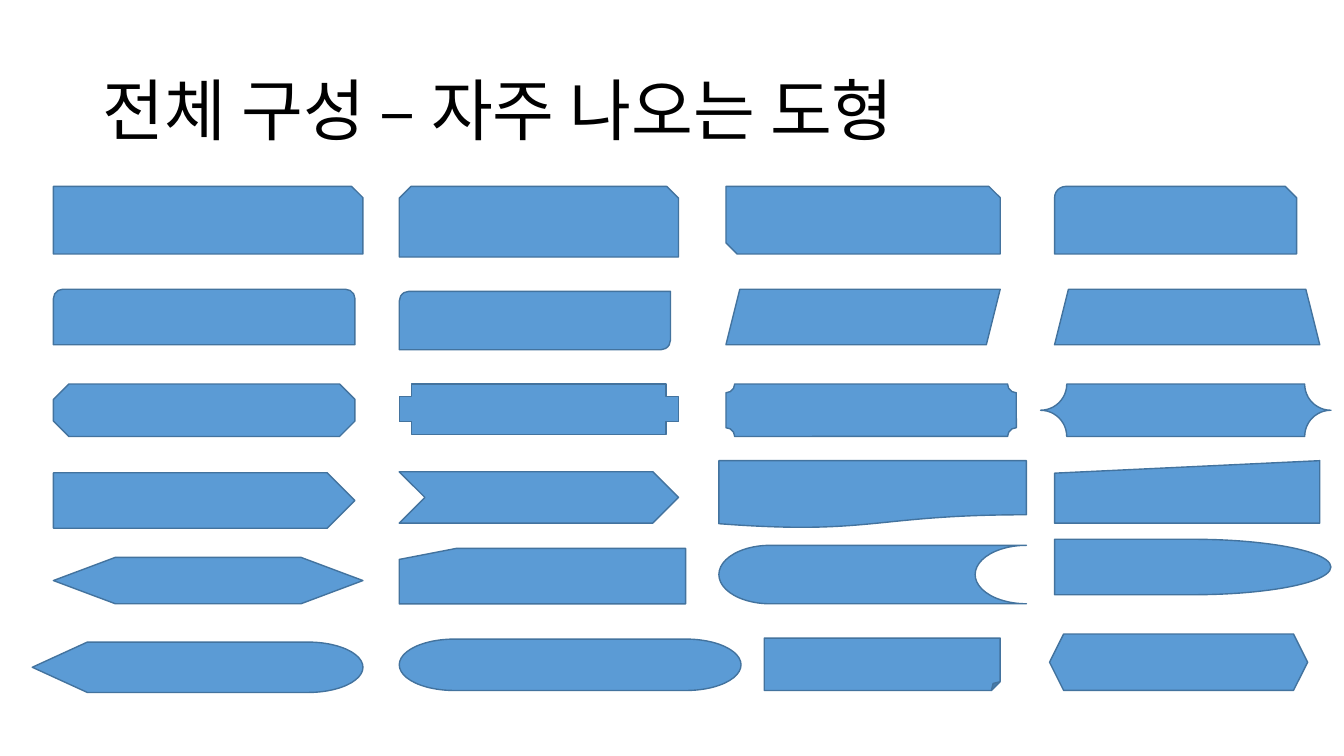
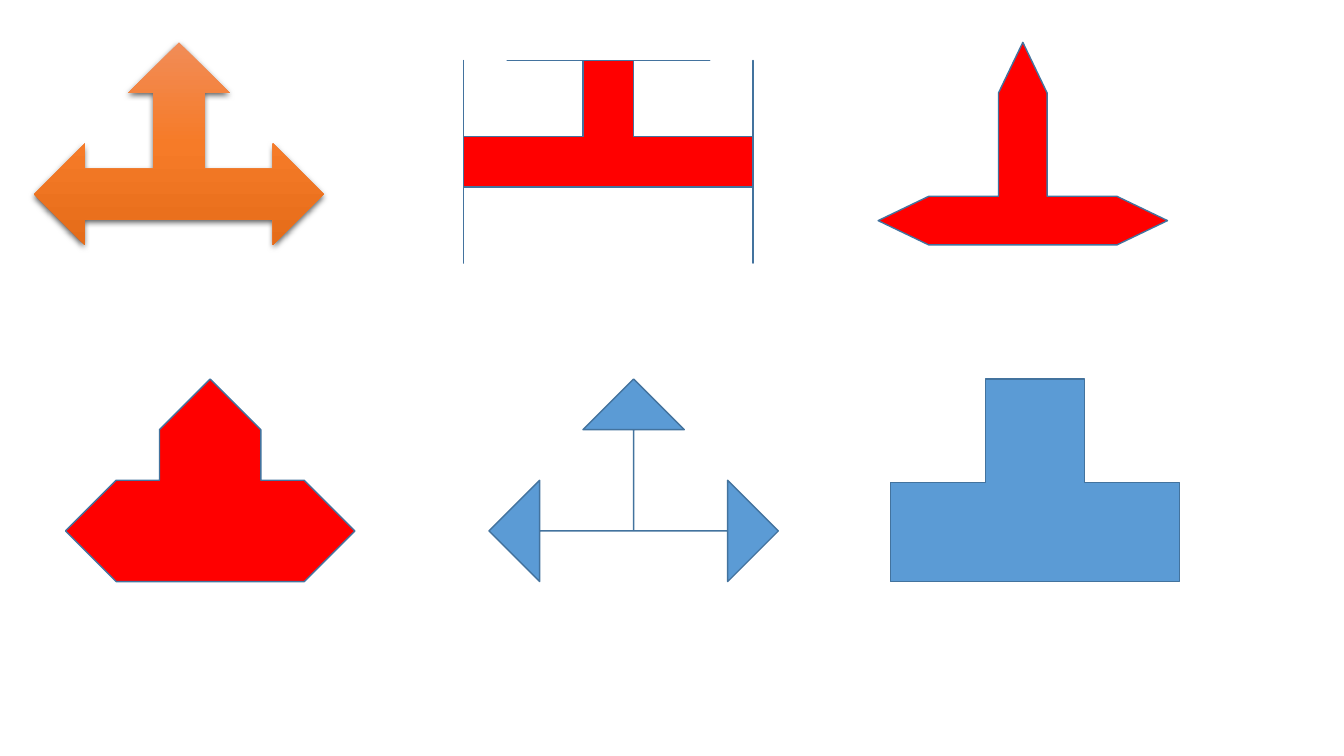
"""Build two slides of preset shapes: a gallery and a set of three-way arrows."""
from copy import deepcopy
from dataclasses import dataclass

from lxml import etree
from pptx import Presentation, util as u
from pptx.dml.color import RGBColor
from pptx.enum import shapes, text
from pptx.oxml.ns import qn
from pptx.shapes.autoshape import Shape
from pptx.slide import Slide

PX = 9144
FONT = "Noto Sans CJK KR"
BLUE, EDGE, RED, BLACK = "5B9BD5", "43739E", "FF0000", "000000"
ORANGES = ((0, "F18C57"), (0.5, "F67B28"), (1, "E56C19"))
COLUMNS = (53, 396, 720, 1046)
ARROW_W, ARROW_H = 287, 201
M = shapes.MSO_SHAPE


@dataclass(frozen=True)
class Item:
    kind: M
    x: int
    y: int
    w: int
    h: int
    fill: str = BLUE
    adj: tuple[float, ...] = ()


A, B, C, D = COLUMNS
GALLERY = (
    Item(M.SNIP_1_RECTANGLE, A, 185, 307, 67),
    Item(M.SNIP_2_SAME_RECTANGLE, B, 185, 277, 70),
    Item(M.SNIP_2_DIAG_RECTANGLE, C, 185, 272, 67),
    Item(M.SNIP_ROUND_RECTANGLE, D, 185, 240, 67),
    Item(M.ROUND_2_SAME_RECTANGLE, A, 287, 299, 55),
    Item(M.ROUND_2_DIAG_RECTANGLE, B, 289, 269, 58),
    Item(M.PARALLELOGRAM, C, 287, 272, 55),
    Item(M.TRAPEZOID, D, 287, 263, 55),
    Item(M.OCTAGON, A, 381, 299, 52),
    Item(M.CROSS, B, 381, 277, 50),
    Item(M.PLAQUE, C, 381, 288, 52),
    Item(M.PLAQUE, 1032, 381, 288, 52, adj=(0.5,)),
    Item(M.PENTAGON, A, 469, 299, 55),
    Item(M.CHEVRON, B, 468, 277, 51),
    Item(M.FLOWCHART_DOCUMENT, 713, 457, 305, 67),
    Item(M.FLOWCHART_MANUAL_INPUT, D, 457, 263, 62),
    Item(M.FLOWCHART_PREPARATION, A, 553, 307, 46),
    Item(M.FLOWCHART_CARD, B, 544, 284, 55),
    Item(M.FLOWCHART_STORED_DATA, 713, 541, 305, 58),
    Item(M.FLOWCHART_DELAY, D, 535, 274, 55),
    Item(M.FLOWCHART_DISPLAY, 32, 637, 328, 50),
    Item(M.FLOWCHART_TERMINATOR, B, 634, 339, 51),
    Item(M.FOLDED_CORNER, 758, 633, 234, 52),
    Item(M.HEXAGON, 1041, 629, 256, 56),
)


def arrow(x: int, y: int, fill: str = BLUE, adj: tuple[float, ...] = ()) -> Item:
    return Item(M.LEFT_RIGHT_UP_ARROW, x, y, ARROW_W, ARROW_H, fill, adj)


GLOSSY_ARROW = arrow(34, 42)
ARROWS = (
    arrow(460, 60, RED, (0.25, 0.5, 0.25)),
    arrow(871, 42, RED, (0.25, 0.12, 0.25)),
    arrow(65, 376, RED, (0.5, 0.25, 0.25)),
    arrow(485, 376, BLUE, (0, 0.25, 0.25)),
    arrow(883, 376, BLUE, (0.89, 0.245, 0)),
)


def px(n: int) -> u.Emu:
    return u.Emu(n * PX)


def rgb(value: str) -> RGBColor:
    return RGBColor.from_string(value)


def add_item(s: Slide, item: Item) -> Shape:
    sp = s.shapes.add_shape(item.kind, *map(px, (item.x, item.y, item.w, item.h)))
    for i, value in enumerate(item.adj):
        sp.adjustments[i] = value
    sp.fill.solid()
    sp.fill.fore_color.rgb = rgb(item.fill)
    sp.line.color.rgb = rgb(EDGE)
    sp.line.width = u.Pt(1)
    sp.shadow.inherit = False
    return sp


def make_glossy(sp: Shape) -> None:
    sp.line.fill.background()
    sp.fill.gradient()
    stops = sp.element.spPr.find(".//" + qn("a:gsLst"))
    stops.append(deepcopy(stops[0]))
    for stop, (position, color) in zip(sp.fill.gradient_stops, ORANGES):
        stop.position = position
        stop.color.rgb = rgb(color)
    sp.fill.gradient_angle = 270
    effects = sp.element.spPr.find(qn("a:effectLst"))
    shadow = etree.SubElement(
        effects, qn("a:outerShdw"), blurRad=str(u.Pt(4.5)), dist=str(u.Pt(1.5)),
        dir="5400000", algn="ctr", rotWithShape="0")
    color = etree.SubElement(shadow, qn("a:srgbClr"), val=BLACK)
    etree.SubElement(color, qn("a:alpha"), val="63000")


def add_text(s: Slide, content: str, *, x: int, y: int, w: int, h: int,
             size: int, color: str = BLACK, spacing: float = 0.9) -> None:
    tf = s.shapes.add_textbox(*map(px, (x, y, w, h))).text_frame
    tf.word_wrap = True
    tf.vertical_anchor = text.MSO_ANCHOR.MIDDLE
    p = tf.paragraphs[0]
    p.line_spacing = spacing
    r = p.add_run()
    r.text = content
    r.font.size = u.Pt(size)
    r.font.name = FONT
    r.font.color.rgb = rgb(color)
    etree.SubElement(r.font._element, qn("a:ea"), typeface=FONT)


def main() -> None:
    prs = Presentation()
    prs.slide_width, prs.slide_height = u.Inches(13.33), u.Inches(7.5)
    blank = prs.slide_layouts[6]

    s = prs.slides.add_slide(blank)
    add_text(s, "전체 구성 – 자주 나오는 도형", x=92, y=40, w=1150, h=145, size=48)
    for item in GALLERY:
        add_item(s, item)

    s = prs.slides.add_slide(blank)
    make_glossy(add_item(s, GLOSSY_ARROW))
    for item in ARROWS:
        add_item(s, item)

    prs.save("out.pptx")


if __name__ == "__main__":
    main()
